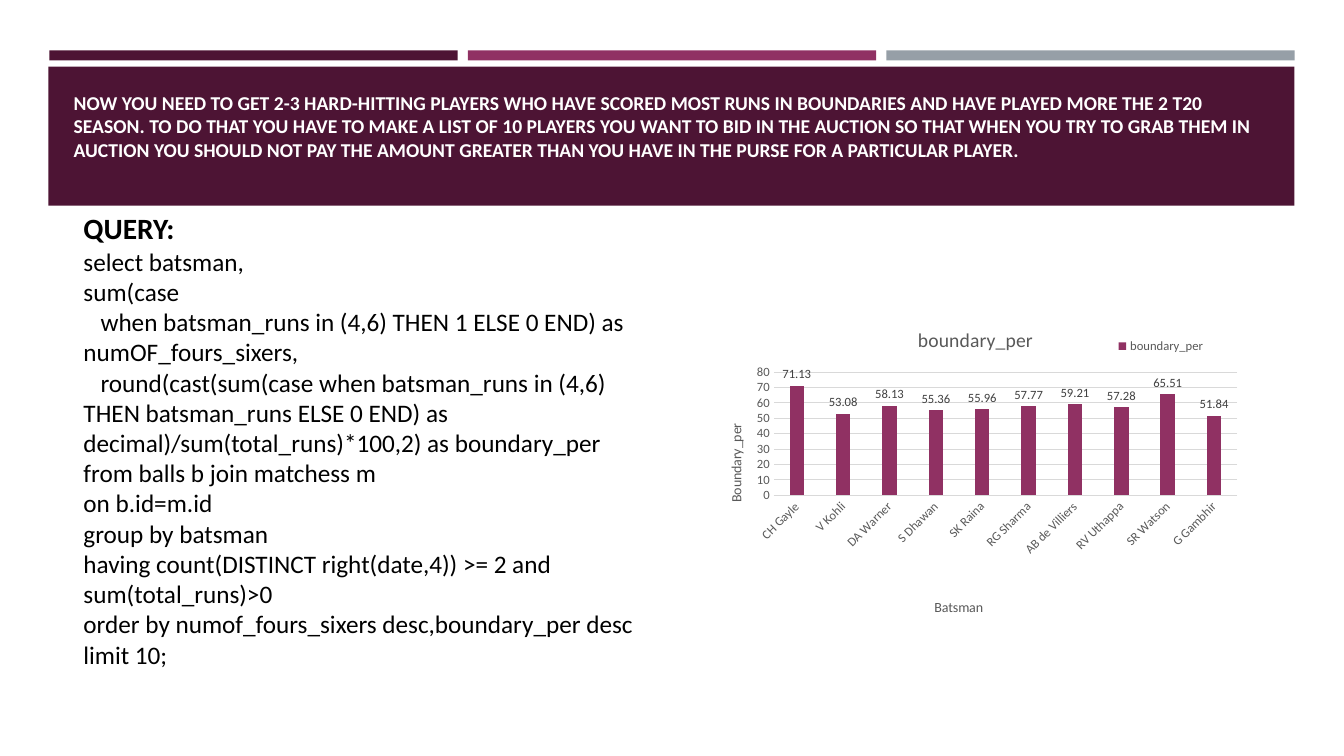
from lxml import etree
from pptx import Presentation
from pptx.chart.data import CategoryChartData
from pptx.dml.color import RGBColor
from pptx.enum.chart import XL_CHART_TYPE, XL_LABEL_POSITION, XL_LEGEND_POSITION, XL_TICK_MARK
from pptx.enum.shapes import MSO_SHAPE
from pptx.enum.text import MSO_ANCHOR, MSO_AUTO_SIZE, PP_ALIGN
from pptx.oxml.ns import qn
from pptx.util import Inches, Pt

RECT = MSO_SHAPE.RECTANGLE
TOP, LEFT = MSO_ANCHOR.TOP, PP_ALIGN.LEFT
COLUMN = XL_CHART_TYPE.COLUMN_CLUSTERED
LEGEND_BOTTOM = XL_LEGEND_POSITION.BOTTOM
LABEL_ABOVE = XL_LABEL_POSITION.OUTSIDE_END
NO_TICK = XL_TICK_MARK.NONE

PLUM, MAGENTA, STEEL = "4D1434", "903163", "969FA7"
WHITE, BLACK, GREY, DARK, RULE = "FFFFFF", "000000", "595959", "404040", "D9D9D9"

TITLE = ("NOW YOU NEED TO GET 2-3 HARD-HITTING PLAYERS WHO HAVE SCORED MOST RUNS IN "
         "BOUNDARIES AND HAVE PLAYED MORE THE 2 T20 SEASON. TO DO THAT YOU HAVE TO MAKE "
         "A LIST OF 10 PLAYERS YOU WANT TO BID IN THE AUCTION SO THAT WHEN YOU TRY TO GRAB "
         "THEM IN AUCTION YOU SHOULD NOT PAY THE AMOUNT GREATER THAN YOU HAVE IN THE PURSE "
         "FOR A PARTICULAR PLAYER.")
QUERY = [
    "select batsman,",
    "sum(case",
    "   when batsman_runs in (4,6) THEN 1 ELSE 0 END) as numOF_fours_sixers,",
    "   round(cast(sum(case when batsman_runs in (4,6) THEN batsman_runs ELSE 0 END) "
    "as decimal)/sum(total_runs)*100,2) as boundary_per",
    "from balls b join matchess m",
    "on b.id=m.id",
    "group by batsman",
    "having count(DISTINCT right(date,4)) >= 2 and sum(total_runs)>0",
    "order by numof_fours_sixers desc,boundary_per desc",
    "limit 10;",
]
BOUNDARY_PER = {
    "CH Gayle": 71.13, "V Kohli": 53.08, "DA Warner": 58.13, "S Dhawan": 55.36,
    "SK Raina": 55.96, "RG Sharma": 57.77, "AB de Villiers": 59.21,
    "RV Uthappa": 57.28, "SR Watson": 65.51, "G Gambhir": 51.84,
}


def rgb(value):
    return RGBColor.from_string(value)


def place(element, index, **fractions):
    """Give a chart part a manual layout in fractions of the chart."""
    for old in element.findall(qn("c:layout")):
        element.remove(old)
    layout = etree.Element(qn("c:layout"))
    manual = etree.SubElement(layout, qn("c:manualLayout"))
    if "w" in fractions and index == 0:
        etree.SubElement(manual, qn("c:layoutTarget")).set("val", "inner")
    for key in ("x", "y"):
        etree.SubElement(manual, qn(f"c:{key}Mode")).set("val", "edge")
    for key, value in fractions.items():
        etree.SubElement(manual, qn(f"c:{key}")).set("val", str(value))
    element.insert(index, layout)


class SlideBuilder:
    font_name = "Calibri"

    def __init__(self, prs):
        self.s = prs.slides.add_slide(prs.slide_layouts[5])

    def style(self, font, size, color, bold=False):
        font.name, font.size, font.bold = self.font_name, Pt(size), bold
        font.color.rgb = rgb(color)

    def run(self, p, text, size, color, bold=False):
        r = p.add_run()
        r.text = text
        self.style(r.font, size, color, bold)

    def bar(self, x, y, w, h, color):
        sp = self.s.shapes.add_shape(RECT, Inches(x), Inches(y), Inches(w), Inches(h))
        sp.shadow.inherit = False
        sp.fill.solid()
        sp.fill.fore_color.rgb = rgb(color)
        sp.line.fill.background()

    def title(self, text, x, y, w, h):
        sp = self.s.shapes.title
        sp.left, sp.top, sp.width, sp.height = (Inches(v) for v in (x, y, w, h))
        tf = sp.text_frame
        tf.word_wrap, tf.auto_size = True, MSO_AUTO_SIZE.NONE
        tf.vertical_anchor, tf.margin_top = TOP, Inches(0.1)
        p = tf.paragraphs[0]
        p.alignment = LEFT
        self.run(p, text, 14, WHITE, True)
        # Bring the title in front of the band
        self.s.shapes._spTree.append(sp._element)

    def query(self, heading, lines, x, y, w, h):
        sp = self.s.shapes.add_textbox(Inches(x), Inches(y), Inches(w), Inches(h))
        tf = sp.text_frame
        tf.word_wrap, tf.auto_size = True, MSO_AUTO_SIZE.SHAPE_TO_FIT_TEXT
        self.run(tf.paragraphs[0], heading, 21, BLACK, True)
        for line in lines:
            self.run(tf.add_paragraph(), line, 18, BLACK)

    def chart_title(self, owner, text, size):
        tf = owner.text_frame
        self.run(tf.paragraphs[0], text, size, GREY)

    def axis(self, axis, text, **position):
        axis.major_tick_mark = axis.minor_tick_mark = NO_TICK
        self.style(axis.tick_labels.font, 9, GREY)
        self.chart_title(axis.axis_title, text, 10)
        place(axis.axis_title._element, 1, **position)

    def column_chart(self, name, values, x, y, w, h):
        data = CategoryChartData()
        data.categories = list(values)
        data.add_series(name, list(values.values()))
        chart = self.s.shapes.add_chart(
            COLUMN, Inches(x), Inches(y), Inches(w), Inches(h), data).chart
        self.style(chart.font, 10, BLACK)
        chart.has_title = True
        self.chart_title(chart.chart_title, name, 14)

        # Columns and their values
        plot = chart.plots[0]
        plot.gap_width, plot.vary_by_categories = 219, False
        series = plot.series[0]
        series.format.fill.solid()
        series.format.fill.fore_color.rgb = rgb(MAGENTA)
        labels = series.data_labels
        labels.show_value, labels.position = True, LABEL_ABOVE
        self.style(labels.font, 9, DARK)

        # Axes
        cat, val = chart.category_axis, chart.value_axis
        self.axis(cat, "Batsman", x=0.42, y=0.88)
        self.axis(val, "Boundary_per", x=0.04, y=0.34)
        cat._element.find(qn("c:txPr")).find(qn("a:bodyPr")).set("rot", "-2700000")
        val.minimum_scale, val.maximum_scale, val.major_unit = 0, 80, 10
        val.format.line.fill.background()
        for line in (cat.format.line, val.major_gridlines.format.line):
            line.color.rgb, line.width = rgb(RULE), Pt(0.75)

        # Legend and plot positions
        chart.has_legend = True
        legend = chart.legend
        legend.position, legend.include_in_layout = LEGEND_BOTTOM, False
        self.style(legend.font, 9, GREY)
        place(legend._element, 1, x=0.75, y=0.07, w=0.18, h=0.08)
        plot_area = chart._chartSpace.find(qn("c:chart")).find(qn("c:plotArea"))
        place(plot_area, 0, x=0.13, y=0.19, w=0.85, h=0.38)


def main():
    prs = Presentation()
    prs.slide_width, prs.slide_height = Inches(13.33), Inches(7.5)
    slide = SlideBuilder(prs)

    # Header stripes and band
    for i, color in enumerate((PLUM, MAGENTA, STEEL)):
        slide.bar(0.49 + i * 4.15, 0.5, 4.05, 0.1, color)
    slide.bar(0.48, 0.66, 12.36, 1.38, PLUM)
    slide.title(TITLE, 0.63, 0.8, 12.06, 1.08)

    # Query and its result
    slide.query("QUERY:", QUERY, 0.73, 2.04, 5.94, 5.3)
    slide.column_chart("boundary_per", BOUNDARY_PER, 6.97, 3.08, 5.41, 3.22)

    prs.save("out.pptx")


if __name__ == "__main__":
    main()
